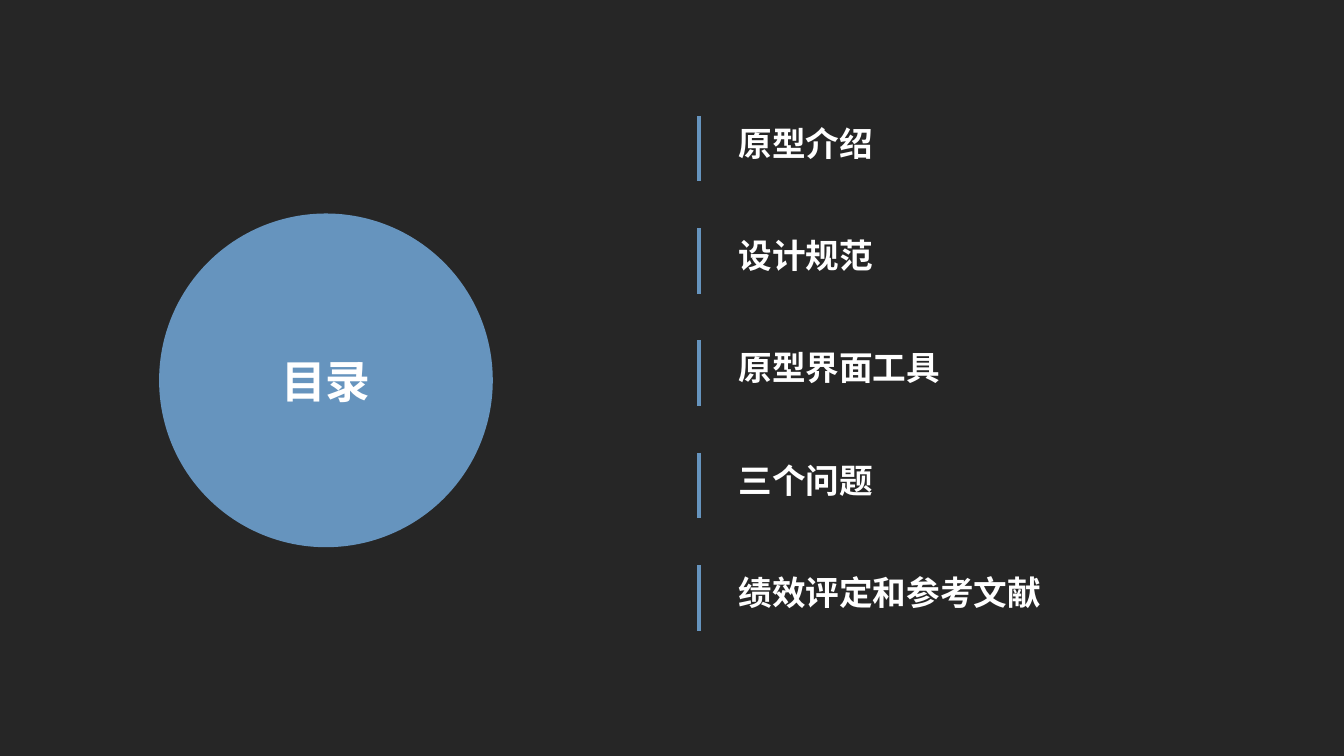
from dataclasses import dataclass

from lxml.etree import SubElement
from pptx import Presentation
from pptx.dml.color import RGBColor
from pptx.enum.shapes import MSO_CONNECTOR, MSO_SHAPE
from pptx.enum.text import MSO_ANCHOR, MSO_AUTO_SIZE, PP_ALIGN
from pptx.oxml.ns import qn
from pptx.util import Cm, Pt


@dataclass(frozen=True)
class Theme:
    background: RGBColor = RGBColor(0x26, 0x26, 0x26)
    accent: RGBColor = RGBColor(0x66, 0x94, 0xBE)
    text: RGBColor = RGBColor(0xFF, 0xFF, 0xFF)
    cjk_font: str = "Noto Sans CJK SC"
    latin_font: str = "Calibri"
    title_size: int = 32
    topic_size: int = 24
    topic_line: int = 30
    bar_width: int = 3


TOPICS = ["原型介绍", "设计规范", "原型界面工具", "三个问题", "绩效评定和参考文献"]
TOPIC_TOP = Cm(2.92)
TOPIC_PITCH = Cm(2.83)
BAR_X = Cm(17.61)
BAR_HEIGHT = Cm(1.65)
CIRCLE_BOX = Cm(4.01), Cm(5.38), Cm(8.41), Cm(8.41)


def write(paragraph, text, *, size, color, font, cjk_font, align=PP_ALIGN.LEFT,
          line=None, after=0):
    paragraph.alignment = align
    paragraph.line_spacing = line
    paragraph.space_before, paragraph.space_after = Pt(0), after
    run = paragraph.add_run()
    run.text = text
    run.font.size, run.font.bold, run.font.name = Pt(size), True, font
    run.font.color.rgb = color
    SubElement(run.font._element, qn("a:ea"), typeface=cjk_font)


def remove_bullet(paragraph):
    properties = paragraph._p.get_or_add_pPr()
    properties.set("marL", "0")
    properties.set("indent", "0")
    SubElement(properties, qn("a:buNone"))


class ContentsSlide:
    def __init__(self, presentation, theme):
        self.theme = theme
        self.slide = presentation.slides.add_slide(presentation.slide_layouts[1])
        fill = self.slide.background.fill
        fill.solid()
        fill.fore_color.rgb = theme.background

    def place(self, placeholder, box, anchor):
        """Move a placeholder and return its text frame."""
        placeholder.left, placeholder.top, placeholder.width, placeholder.height = box
        frame = placeholder.text_frame
        frame.word_wrap = True
        frame.auto_size = MSO_AUTO_SIZE.NONE
        frame.vertical_anchor = anchor
        return frame

    def circle(self, box):
        disc = self.slide.shapes.add_shape(MSO_SHAPE.OVAL, *box)
        disc.shadow.inherit = False
        disc.fill.solid()
        disc.fill.fore_color.rgb = self.theme.accent
        disc.line.fill.background()
        return disc

    def circled_title(self, text, box):
        disc, title = self.circle(box), self.slide.shapes.title
        disc.element.addnext(title.element)
        frame = self.place(title, box, MSO_ANCHOR.MIDDLE)
        write(frame.paragraphs[0], text, size=self.theme.title_size,
              color=self.theme.text, font=self.theme.cjk_font,
              cjk_font=self.theme.cjk_font, align=PP_ALIGN.CENTER)

    def topic_list(self, topics, box, pitch):
        theme = self.theme
        frame = self.place(self.slide.placeholders[1], box, MSO_ANCHOR.TOP)
        line = Pt(theme.topic_line)
        for index, topic in enumerate(topics):
            paragraph = frame.add_paragraph() if index else frame.paragraphs[0]
            write(paragraph, topic, size=theme.topic_size, color=theme.text,
                  font=theme.latin_font, cjk_font=theme.cjk_font,
                  line=line, after=pitch - line)
            remove_bullet(paragraph)

    def bar(self, x, top, height):
        bar = self.slide.shapes.add_connector(
            MSO_CONNECTOR.STRAIGHT, x, top, x, top + height)
        bar.line.color.rgb = self.theme.accent
        bar.line.width = Pt(self.theme.bar_width)
        SubElement(bar.element.spPr, qn("a:effectLst"))


def main():
    presentation = Presentation()
    presentation.slide_width, presentation.slide_height = Cm(33.87), Cm(19.05)
    contents = ContentsSlide(presentation, Theme())
    contents.circled_title("目录", CIRCLE_BOX)
    list_box = Cm(18.36), TOPIC_TOP, Cm(9), TOPIC_PITCH * len(TOPICS)
    contents.topic_list(TOPICS, list_box, TOPIC_PITCH)
    for index in range(len(TOPICS)):
        contents.bar(BAR_X, TOPIC_TOP + index * TOPIC_PITCH, BAR_HEIGHT)
    presentation.save("out.pptx")


if __name__ == "__main__":
    main()
